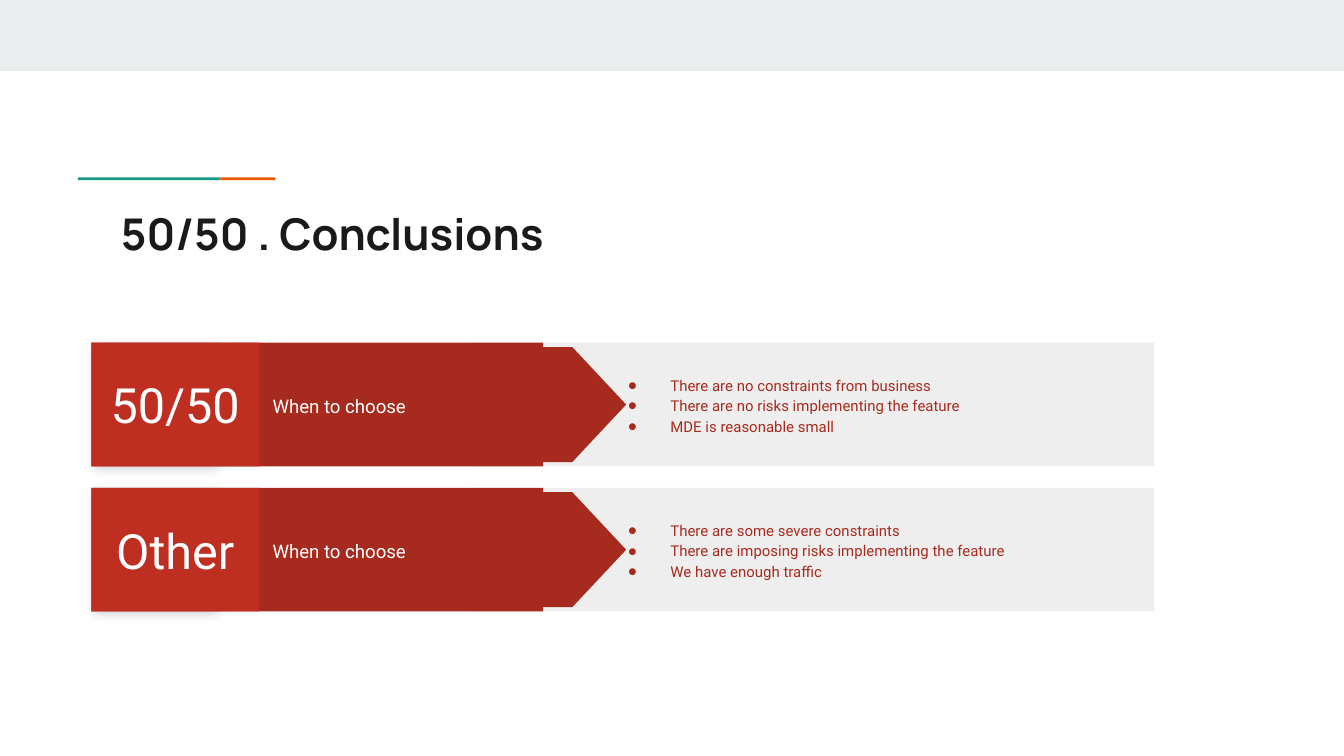
from lxml.etree import SubElement
from pptx import Presentation
from pptx.dml.color import RGBColor
from pptx.enum.shapes import MSO_SHAPE
from pptx.enum.text import MSO_ANCHOR, PP_ALIGN
from pptx.oxml.ns import qn
from pptx.util import Inches, Pt

WIDTH = 10
HEIGHT = WIDTH * 9 / 16
RED, DARK_RED, DEEP_RED = "BE2F22", "A72A1E", "B02C20"
TEAL, ORANGE = "1A9988", "EB5600"
PALE, GREY, WHITE, INK = "E9EDEE", "EEEEEE", "FFFFFF", "1A1A1A"

CHOICES = [
    ("50/50", ["There are no constraints from business",
               "There are no risks implementing the feature",
               "MDE is reasonable small"]),
    ("Other", ["There are some severe constraints",
               "There are imposing risks implementing the feature",
               "We have enough traffic"]),
]


def colour(hex_code):
    """Turn a hex string into a colour."""
    return RGBColor.from_string(hex_code)


def inside(box, left, top, width, height):
    """Return the part of a box given by shares of its width and height."""
    x, y, w, h = box
    return x + left * w, y + top * h, width * w, height * h


def add_block(slide, box, fill, kind=MSO_SHAPE.RECTANGLE):
    """Add a plain filled shape without outline or shadow."""
    block = slide.shapes.add_shape(kind, *map(Inches, box))
    block.shadow.inherit = False
    block.fill.solid()
    block.fill.fore_color.rgb = colour(fill)
    block.line.fill.background()
    return block


def add_label(slide, box):
    """Add an empty text box."""
    return slide.shapes.add_textbox(*map(Inches, box))


def write(holder, lines, size, hex_code, font="Roboto", bold=False,
          align=PP_ALIGN.LEFT, anchor=MSO_ANCHOR.MIDDLE, spacing=1, bullets=False):
    """Write lines of formatted text into a shape."""
    frame = holder.text_frame
    frame.word_wrap = True
    frame.vertical_anchor = anchor
    frame.margin_left = frame.margin_right = Inches(0.1)
    frame.margin_top = frame.margin_bottom = Inches(0.1)
    frame.text = "\n".join(lines)
    for paragraph in frame.paragraphs:
        paragraph.alignment = align
        paragraph.line_spacing = spacing
        for run in paragraph.runs:
            run.font.name, run.font.size, run.font.bold = font, Pt(size), bold
            run.font.color.rgb = colour(hex_code)
        if bullets:
            add_bullet(paragraph, hex_code)


def add_bullet(paragraph, hex_code):
    """Give a paragraph a hanging round bullet."""
    properties = paragraph._p.get_or_add_pPr()
    properties.set("marL", str(Inches(0.5)))
    properties.set("indent", str(Inches(-0.31)))
    bullet_colour = SubElement(properties, qn("a:buClr"))
    SubElement(bullet_colour, qn("a:srgbClr"), val=hex_code)
    SubElement(properties, qn("a:buSzPct"), val="60000")
    SubElement(properties, qn("a:buFont"), typeface="Roboto")
    SubElement(properties, qn("a:buChar"), char="●")


def cast_shadow(block):
    """Add a soft shadow to a shape."""
    effects = block._element.spPr.find(qn("a:effectLst"))
    shadow = SubElement(effects, qn("a:outerShdw"), blurRad=str(Pt(5.6)),
                        dist=str(Pt(2.2)), dir=str(45 * 60000), rotWithShape="0")
    tint = SubElement(shadow, qn("a:srgbClr"), val="000000")
    SubElement(tint, qn("a:alpha"), val="17000")


def add_pointer(slide, box):
    """Add an arrow pointing right that fills the box."""
    x, y, w, h = box
    upright = (x + (w - h) / 2, y + (h - w) / 2, h, w)
    pointer = add_block(slide, upright, DARK_RED, MSO_SHAPE.FLOWCHART_OFFPAGE_CONNECTOR)
    pointer.rotation = 270


def add_heading(slide, box):
    """Place the top band, the two-colour accent and the title."""
    add_block(slide, inside(box, 0, 0, 1, 0.26), PALE)
    add_block(slide, inside(box, 0.058, 0.65, 0.106, 0.01), TEAL)
    add_block(slide, inside(box, 0.164, 0.65, 0.041, 0.01), ORANGE)
    title = slide.shapes.title
    title.left, title.top, title.width, title.height = map(
        Inches, inside(box, 0.08, 0.71, 0.841, 0.29))
    write(title, ["50/50 . Conclusions"], 23.4, INK, font="Manrope", bold=True,
          anchor=MSO_ANCHOR.TOP)


def add_choice(slide, box, name, reasons):
    """Place one choice with its arrow and its reasons."""
    add_block(slide, inside(box, 0.359, 0, 0.641, 1), GREY)
    add_block(slide, inside(box, 0.116, 0, 0.309, 1), DARK_RED)
    add_pointer(slide, inside(box, 0.25, 0.035, 0.253, 0.93))
    prompt = add_label(slide, inside(box, 0.158, 0.11, 0.326, 0.77))
    write(prompt, ["When to choose"], 10, WHITE, spacing=1.15)
    cast_shadow(add_block(slide, inside(box, 0, 0, 0.116, 1), DEEP_RED))
    badge = add_block(slide, inside(box, 0, 0, 0.158, 1), RED)
    write(badge, [name], 26, WHITE, align=PP_ALIGN.CENTER)
    reason_list = add_label(slide, inside(box, 0.469, 0, 0.499, 1))
    write(reason_list, reasons, 8, DARK_RED, spacing=1.15, bullets=True)


def main():
    """Build the slide and save it."""
    deck = Presentation()
    deck.slide_width, deck.slide_height = Inches(WIDTH), Inches(HEIGHT)
    slide = deck.slides.add_slide(deck.slide_layouts[5])
    add_heading(slide, (0, 0, WIDTH, 2.03))
    row_height, row_gap = 0.92, 0.16
    for row, (name, reasons) in enumerate(CHOICES):
        top = 2.55 + row * (row_height + row_gap)
        add_choice(slide, (0.68, top, 7.91, row_height), name, reasons)
    deck.save("out.pptx")


if __name__ == "__main__":
    main()
